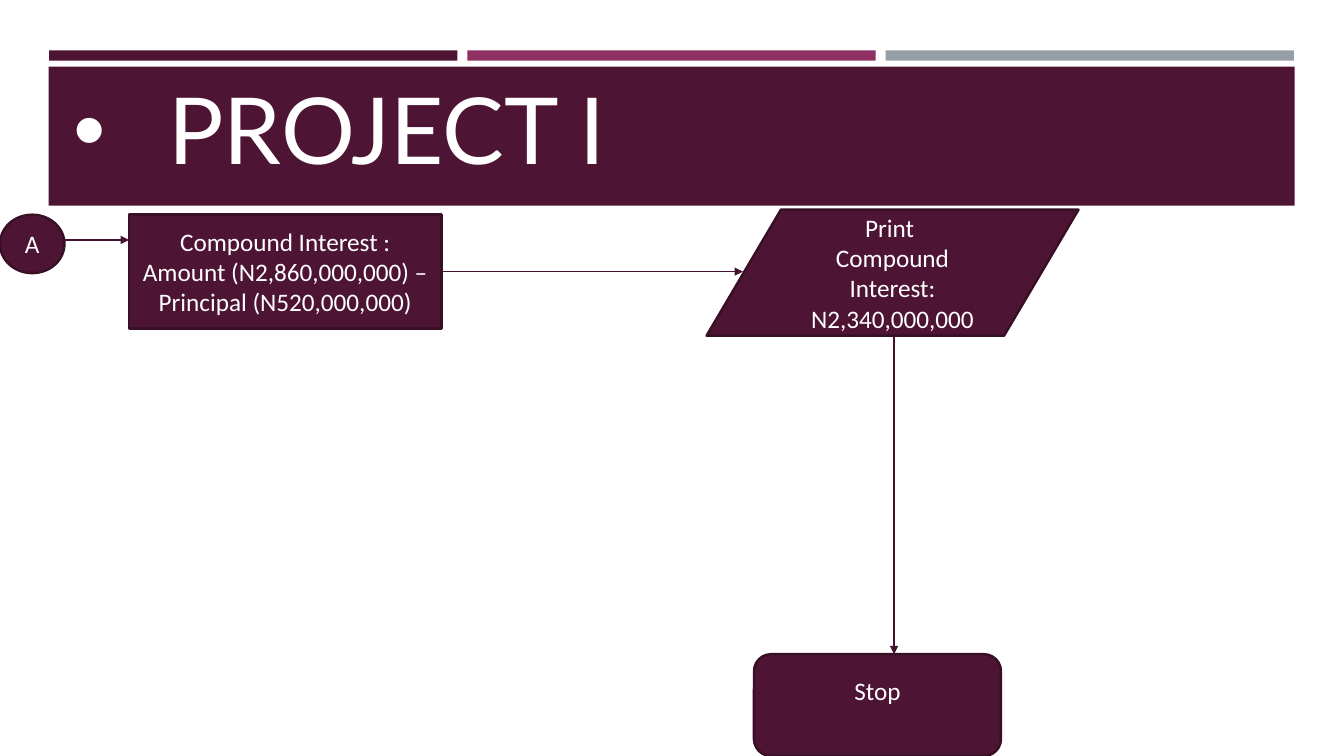
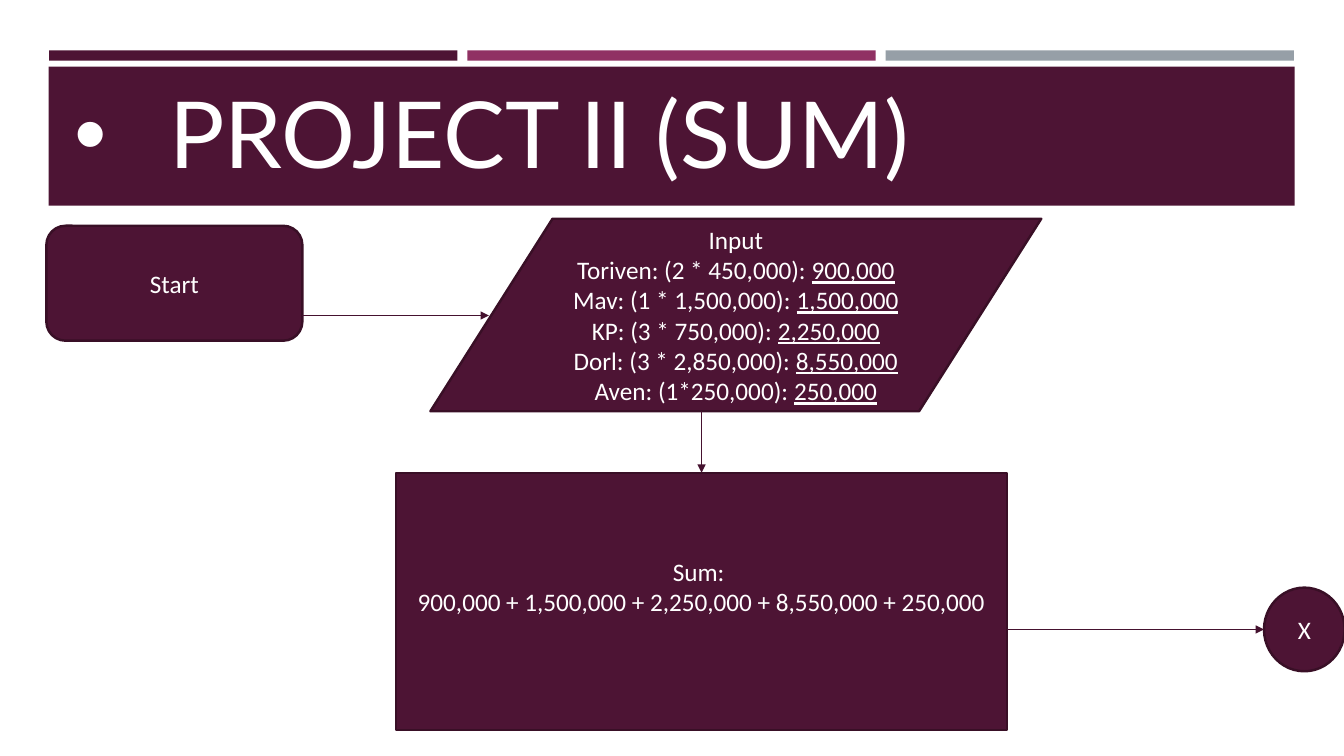
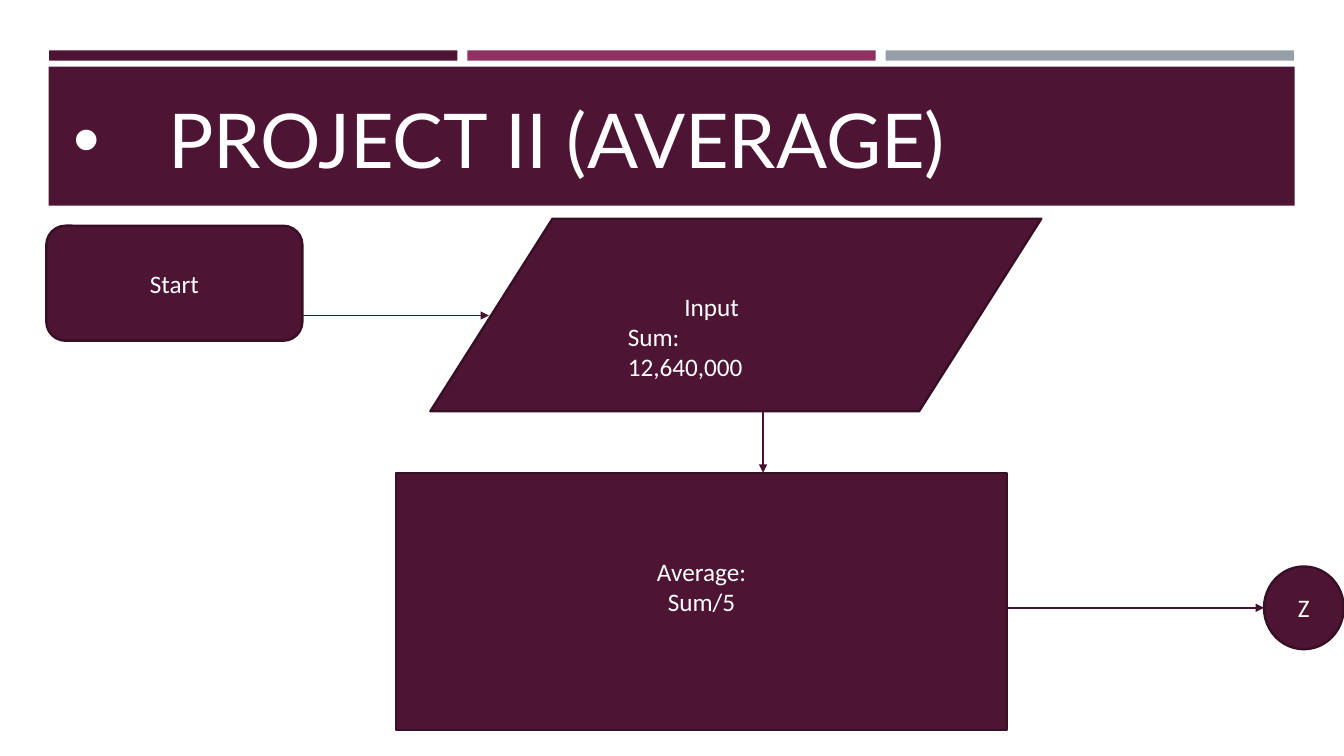
from dataclasses import dataclass

from lxml import etree
from pptx import Presentation
from pptx import util as u
from pptx.dml.color import RGBColor
from pptx.enum import shapes, text
from pptx.oxml import ns


@dataclass(frozen=True)
class Theme:
    plum: str = "4D1434"
    berry: str = "903163"
    gray: str = "969FA7"
    outline: str = "390F26"
    arrow: str = "45122F"
    white: str = "FFFFFF"
    title_font: str = "Lato"
    body_font: str = "Calibri"
    title_size: int = 66
    long_title_size: int = 54
    body_size: int = 18
    outline_width: float = 1.75
    arrow_width: float = 1


THEME = Theme()
COLUMNS, ROWS = 80, 45
KIND = shapes.MSO_SHAPE
ALIGN = text.PP_ALIGN
ANCHOR = text.MSO_ANCHOR


class Deck:
    """Holds the style and the current slide; lengths are grid columns and rows."""

    def __init__(self, theme):
        self.theme = theme
        self.presentation = Presentation()
        self.presentation.slide_width = u.Inches(13.333)
        self.presentation.slide_height = u.Inches(7.5)
        self.slide = None

    def grid(self, *lengths):
        """Turn alternating columns and rows into slide units."""
        units = (self.presentation.slide_width / COLUMNS,
                 self.presentation.slide_height / ROWS)
        return [u.Emu(round(length * units[i % 2])) for i, length in enumerate(lengths)]

    def style(self, run, font, size):
        run.font.name = font
        run.font.size = u.Pt(size)
        run.font.color.rgb = RGBColor.from_string(self.theme.white)

    def new_slide(self, title, size, left=3.8, top=4.8):
        self.slide = self.presentation.slides.add_slide(self.presentation.slide_layouts[6])
        # Three thin bars above the title band
        for i, color in enumerate((self.theme.plum, self.theme.berry, self.theme.gray)):
            self.block(KIND.RECTANGLE, (2.92 + i * 24.9, 3, 24.3, 0.62), color)
        self.block(KIND.RECTANGLE, (2.9, 3.96, 74.16, 8.28), self.theme.plum)
        self.title(title, size, left, top)

    def title(self, title, size, left, top):
        frame = self.slide.shapes.add_textbox(*self.grid(left, top, 72.36, 6.48)).text_frame
        frame.word_wrap = True
        frame.vertical_anchor = ANCHOR.BOTTOM
        frame.text = title
        paragraph = frame.paragraphs[0]
        paragraph.line_spacing = 0.9
        self.style(paragraph.runs[0], self.theme.title_font, size)
        # Hanging bullet
        properties = paragraph._p.get_or_add_pPr()
        indent = u.Inches(0.94)
        properties.set("marL", str(indent))
        properties.set("indent", str(-indent))
        etree.SubElement(properties, ns.qn("a:buFont")).set("typeface", "Arial")
        etree.SubElement(properties, ns.qn("a:buChar")).set("char", "•")

    def block(self, kind, box, color):
        shape = self.slide.shapes.add_shape(kind, *self.grid(*box))
        shape.shadow.inherit = False
        shape.fill.solid()
        shape.fill.fore_color.rgb = RGBColor.from_string(color)
        shape.line.fill.background()
        return shape

    def set_lines(self, frame, lines, alignments):
        """Fill a frame; the part of a line after "|" is underlined."""
        frame.word_wrap = True
        parts = [line.partition("|") for line in lines]
        frame.text = "\n".join(plain for plain, _, _ in parts)
        for paragraph, (_, _, total), alignment in zip(frame.paragraphs, parts, alignments):
            paragraph.alignment = alignment
            if total:
                run = paragraph.add_run()
                run.text = total
                run.font.underline = True
            for run in paragraph.runs:
                self.style(run, self.theme.body_font, self.theme.body_size)

    def step(self, kind, box, *lines, raised=False):
        """Flowchart step; raised lifts the text by half a line."""
        shape = self.block(kind, box, self.theme.plum)
        shape.line.color.rgb = RGBColor.from_string(self.theme.outline)
        shape.line.width = u.Pt(self.theme.outline_width)
        frame = shape.text_frame
        frame.vertical_anchor = ANCHOR.MIDDLE
        if raised:
            frame.margin_bottom = u.Inches(0.35)
        if lines:
            self.set_lines(frame, lines, [ALIGN.CENTER] * len(lines))
        return shape

    def label(self, box, lines, alignments):
        frame = self.slide.shapes.add_textbox(*self.grid(*box)).text_frame
        self.set_lines(frame, lines, alignments)

    def arrow(self, start, end, begin=None, finish=None):
        """Arrow between points; begin and finish are (shape, side) joins."""
        connector = self.slide.shapes.add_connector(
            shapes.MSO_CONNECTOR.STRAIGHT, *self.grid(*start, *end))
        if begin:
            connector.begin_connect(*begin)
        if finish:
            connector.end_connect(*finish)
        connector.line.color.rgb = RGBColor.from_string(self.theme.arrow)
        connector.line.width = u.Pt(self.theme.arrow_width)
        line = connector.line._get_or_add_ln()
        etree.SubElement(line, ns.qn("a:tailEnd")).set("type", "triangle")
        etree.SubElement(connector._element.spPr, ns.qn("a:effectLst"))

    def project_two(self, inputs, process, drop, exit_letter, exit_box):
        """Start, input, process and exit connector of the second project."""
        self.step(KIND.ROUNDED_RECTANGLE, (2.76, 13.44, 15.24, 6.84), "Start")
        self.step(KIND.FLOWCHART_DATA, (25.62, 13.02, 36.36, 11.46), *inputs)
        box = left, top, width, _ = (23.58, 28.14, 36.36, 15.3)
        process_shape = self.step(KIND.FLOWCHART_PROCESS, box, *process, raised=True)
        self.step(KIND.FLOWCHART_CONNECTOR, exit_box, exit_letter)
        self.arrow((18, 18.78), (29.1, 18.78))
        centered = abs(drop - left - width / 2) < 0.01
        self.arrow((drop, 24.48), (drop, top),
                   finish=(process_shape, 0) if centered else None)
        exit_row = exit_box[1] + exit_box[3] / 2
        self.arrow((left + width, exit_row), (exit_box[0], exit_row))


def main():
    deck = Deck(THEME)

    # Project I: compound interest
    deck.new_slide("PROJECT I", THEME.title_size)
    deck.step(KIND.FLOWCHART_CONNECTOR, (0, 12.78, 3.84, 3.48), "A")
    interest = deck.step(
        KIND.FLOWCHART_PROCESS, (7.68, 12.78, 18.6, 6.78),
        "Compound Interest : Amount (N2,860,000,000) – Principal (N520,000,000)")
    deck.step(KIND.FLOWCHART_DATA, (42.06, 12.48, 22.14, 7.5),
              "Print ", "Compound Interest: N2,340,000,000")
    deck.step(KIND.ROUNDED_RECTANGLE, (44.88, 38.94, 14.7, 6.06), "Stop", raised=True)
    deck.arrow((3.84, 14.28), (7.68, 14.28))
    deck.arrow((26.28, 16.17), (44.22, 16.17), begin=(interest, 3))
    deck.arrow((53.22, 19.98), (53.22, 38.94))

    # Project II: sum
    deck.new_slide("PROJECT II (SUM)", THEME.title_size, 3.84, 5.04)
    deck.project_two(
        ("Input",
         "Toriven: (2 * 450,000): |900,000",
         "Mav: (1 * 1,500,000): |1,500,000",
         "KP: (3 * 750,000): |2,250,000",
         "Dorl: (3 * 2,850,000): |8,550,000",
         "Aven: (1*250,000): |250,000"),
        ("Sum: ", "900,000 + 1,500,000 + 2,250,000 + 8,550,000 + 250,000"),
        41.76, "X", (75.24, 34.98, 4.8, 4.98))

    # Project II: average
    deck.new_slide("PROJECT II (AVERAGE)", THEME.long_title_size)
    deck.project_two((), ("Average:", "Sum/5"), 45.42, "Z", (75.24, 33.72, 4.74, 4.92))
    deck.label((36.78, 17.04, 11.16, 6.06), ("Input", "Sum:", "12,640,000"),
               (ALIGN.CENTER, ALIGN.LEFT, ALIGN.LEFT))

    deck.presentation.save("out.pptx")


if __name__ == "__main__":
    main()
